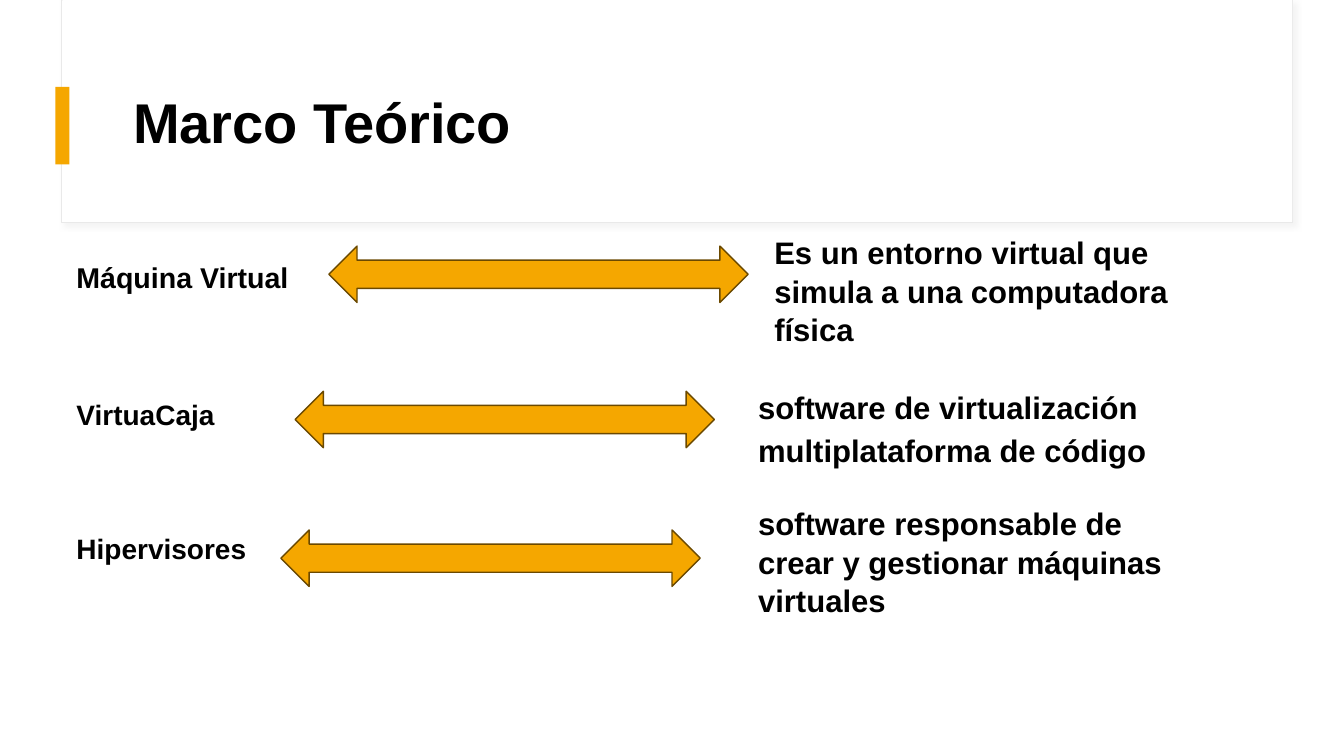
"""Build the "Marco Teórico" slide: three terms joined by arrows to their definitions."""
from lxml.etree import SubElement
from pptx import Presentation
from pptx.dml.color import RGBColor
from pptx.enum.shapes import MSO_SHAPE
from pptx.enum.text import MSO_ANCHOR
from pptx.oxml.ns import qn
from pptx.util import Pt


def add_box(shape, left, top, width, height, fill, line=None, weight=1):
    sp = s.shapes.add_shape(shape, Pt(left), Pt(top), Pt(width), Pt(height))
    sp.shadow.inherit = False
    sp.fill.solid()
    sp.fill.fore_color.rgb = RGBColor.from_string(fill)
    if line:
        sp.line.color.rgb = RGBColor.from_string(line)
        sp.line.width = Pt(weight)
    else:
        sp.line.fill.background()
    return sp


def add_text(text, left, top, width, height, size, spacing=1.0, anchor=MSO_ANCHOR.TOP):
    tf = s.shapes.add_textbox(Pt(left), Pt(top), Pt(width), Pt(height)).text_frame
    tf.word_wrap = True
    tf.vertical_anchor = anchor
    p = tf.paragraphs[0]
    p.line_spacing = spacing
    r = p.add_run()
    r.text = text
    r.font.name = "Arial"
    r.font.size = Pt(size)
    r.font.bold = True
    r.font.color.rgb = RGBColor.from_string("000000")


prs = Presentation()
prs.slide_width, prs.slide_height = Pt(960), Pt(540)
s = prs.slides.add_slide(prs.slide_layouts[6])

frame = add_box(MSO_SHAPE.RECTANGLE, 44, 0, 879, 159, "FFFFFF", "E9E9E9", 0.75)
effects = frame._element.spPr.find(qn("a:effectLst"))
shadow = SubElement(effects, qn("a:outerShdw"), blurRad=str(Pt(4)), dist=str(Pt(3)), dir="2700000")
color = SubElement(shadow, qn("a:srgbClr"), val="D9D9D9")
SubElement(color, qn("a:alpha"), val="30000")

add_box(MSO_SHAPE.RECTANGLE, 44.6, 0, 878.4, 158.4, "FFFFFF")
add_box(MSO_SHAPE.RECTANGLE, 39.5, 62, 10, 55.5, "F5A700")
add_text("Marco Teórico", 88, 43, 800, 93, 40, 0.9, MSO_ANCHOR.MIDDLE)

rows = [
    ("Máquina Virtual", 181, 20.4, 234.9, 175.8,
     "Es un entorno virtual que simula a una computadora física", 546, 162, 1.04),
    ("VirtuaCaja", 279.5, 20, 210.8, 279.5,
     "software de virtualización multiplataforma de código", 534.4, 270, 1.15),
    ("Hipervisores", 375, 20, 200.7, 378.6,
     "software responsable de crear y gestionar máquinas virtuales", 534.4, 355.7, 1.04),
]
for term, term_y, size, arrow_x, arrow_y, meaning, meaning_x, meaning_y, spacing in rows:
    add_text(term, 47.5, term_y, 230, 32, size, 1.04)
    add_box(MSO_SHAPE.LEFT_RIGHT_ARROW, arrow_x, arrow_y, 299.5, 40.3, "F5A700", "6B4900")
    add_text(meaning, meaning_x, meaning_y, 319, 91.4, 22.2, spacing)

prs.save("out.pptx")
